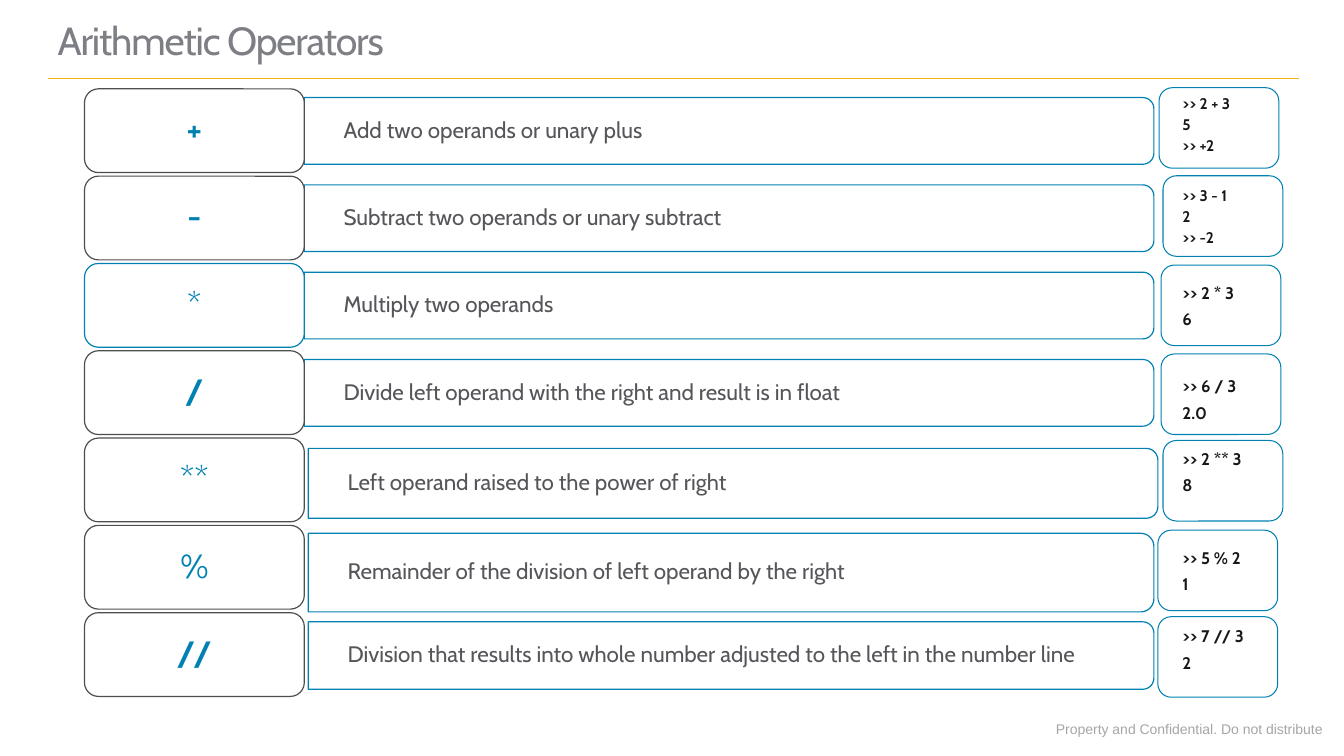
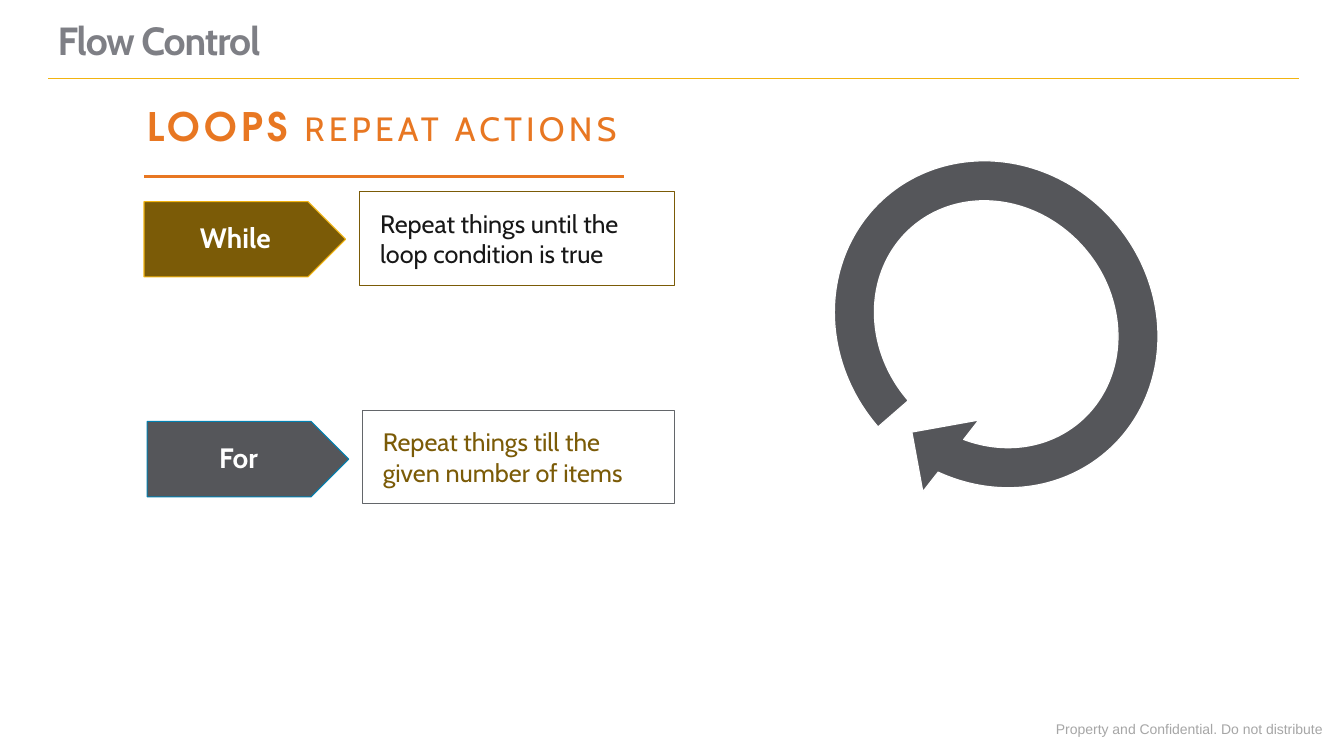
import math
from dataclasses import dataclass

from lxml import etree
from pptx import Presentation
from pptx import util as u
from pptx.dml.color import RGBColor
from pptx.enum import shapes, text
from pptx.oxml.ns import qn

WHITE = RGBColor(0xFF, 0xFF, 0xFF)
BLUE = RGBColor(0x01, 0x81, 0xB2)
GOLD = RGBColor(0xF2, 0xB4, 0x11)
BROWN = RGBColor(0x7B, 0x5B, 0x07)
ORANGE = RGBColor(0xE8, 0x77, 0x22)
SLATE = RGBColor(0x55, 0x56, 0x5A)
OUTLINE = RGBColor(0x4D, 0x4E, 0x52)
BOX_GRAY = RGBColor(0x63, 0x66, 0x6A)
TITLE_GRAY = RGBColor(0x7E, 0x7F, 0x85)
FOOTER_GRAY = RGBColor(0xA6, 0xA6, 0xA6)
INK = RGBColor(0x17, 0x17, 0x17)

FONT = "Cabin"
SHAPE = shapes.MSO_SHAPE
LEFT, CENTER, RIGHT = text.PP_ALIGN.LEFT, text.PP_ALIGN.CENTER, text.PP_ALIGN.RIGHT
TOP, MIDDLE, BOTTOM = (text.MSO_ANCHOR.TOP, text.MSO_ANCHOR.MIDDLE,
                       text.MSO_ANCHOR.BOTTOM)


@dataclass(frozen=True)
class Box:
    """A rectangle in centimetres."""
    left: float
    top: float
    width: float
    height: float

    def lengths(self) -> tuple:
        return tuple(u.Cm(value) for value in
                     (self.left, self.top, self.width, self.height))


@dataclass(frozen=True)
class TextStyle:
    size: float
    color: RGBColor
    bold: bool = False
    font: str = FONT
    spacing: float = 0
    align: text.PP_ALIGN = LEFT
    anchor: text.MSO_ANCHOR = TOP
    inset: tuple = (0.51, 0.41)
    line_spacing: float = 0.9
    space_after: float = 0


@dataclass(frozen=True)
class Operator:
    symbol: str
    bold: bool
    outline: RGBColor
    description: str
    bar: Box
    example: str
    example_left: float
    example_top: float
    text_top: float
    example_size: float = 12
    example_gap: float = 6


@dataclass(frozen=True)
class Loop:
    name: str
    tag: Box
    fill: RGBColor
    outline: RGBColor
    description: str
    box: Box
    box_outline: RGBColor
    text_color: RGBColor


# Operator rows
ROW_TOP, ROW_PITCH = 2.24, 2.2
BAR_TOPS = [2.46 + ROW_PITCH * row for row in range(4)]
OPERATORS = [
    Operator("+", True, OUTLINE, "Add two operands or unary plus",
             Box(7.67, BAR_TOPS[0], 21.41, 1.68), ">> 2 + 3\n5\n>> +2",
             29.21, 2.21, 2.01, 11, 3),
    Operator("-", True, OUTLINE, "Subtract two operands or unary subtract",
             Box(7.67, BAR_TOPS[1], 21.41, 1.68), ">> 3 - 1\n2\n>> -2",
             29.31, 4.43, 4.34, 11, 3),
    Operator("*", False, BLUE, "Multiply two operands",
             Box(7.67, BAR_TOPS[2], 21.41, 1.68), ">> 2 * 3\n6",
             29.26, 6.68, 6.76),
    Operator("/", True, OUTLINE,
             "Divide left operand with the right and result is in float",
             Box(7.67, BAR_TOPS[3], 21.41, 1.68), ">> 6 / 3\n2.0",
             29.26, 8.92, 9.12),
    Operator("**", False, OUTLINE, "Left operand raised to the power of right",
             Box(7.77, 11.3, 21.41, 1.76), ">> 2 ** 3\n8",
             29.31, 11.1, 10.95),
    Operator("%", False, OUTLINE,
             "Remainder of the division of left operand by the right",
             Box(7.77, 13.44, 21.31, 1.98), ">> 5 % 2\n1",
             29.18, 13.36, 13.44),
    Operator("//", True, OUTLINE,
             "Division that results into whole number adjusted to the left "
             "in the number line",
             Box(7.77, 15.67, 21.31, 1.7), ">> 7 // 3\n2",
             29.18, 15.54, 15.42),
]

LOOPS = [
    Loop("While", Box(3.63, 5.08, 5.08, 1.9), BROWN, GOLD,
         "Repeat things until the loop condition is true",
         Box(9.07, 4.83, 7.92, 2.36), BROWN, INK),
    Loop("For", Box(3.71, 10.62, 5.08, 1.9), SLATE, BLUE,
         "Repeat things till the given number of items",
         Box(9.14, 10.34, 7.85, 2.36), BOX_GRAY, BROWN),
]


def format_run(run, style: TextStyle) -> None:
    run.font.name = style.font
    run.font.size = u.Pt(style.size)
    run.font.bold = style.bold
    run.font.color.rgb = style.color
    if style.spacing:
        run._r.get_or_add_rPr().set("spc", str(round(style.spacing * 100)))


def write(shape, content: str, style: TextStyle) -> None:
    """Put text in a shape, one paragraph per line."""
    frame = shape.text_frame
    frame.text = content
    frame.word_wrap = True
    frame.auto_size = text.MSO_AUTO_SIZE.NONE
    frame.vertical_anchor = style.anchor
    frame.margin_left = frame.margin_right = u.Cm(style.inset[0])
    frame.margin_top = frame.margin_bottom = u.Cm(style.inset[1])
    for paragraph in frame.paragraphs:
        paragraph.alignment = style.align
        paragraph.line_spacing = style.line_spacing
        paragraph.space_before = u.Pt(0)
        paragraph.space_after = u.Pt(style.space_after)
        for run in paragraph.runs:
            format_run(run, style)


def paint(shape, fill: RGBColor | None, outline: RGBColor, width: float) -> None:
    shape.shadow.inherit = False
    if fill is None:
        shape.fill.background()
    else:
        shape.fill.solid()
        shape.fill.fore_color.rgb = fill
    shape.line.color.rgb = outline
    shape.line.width = u.Pt(width)


def add_box(slide, preset: SHAPE, box: Box, fill: RGBColor | None,
            outline: RGBColor, width: float = 0.75):
    shape = slide.shapes.add_shape(preset, *box.lengths())
    paint(shape, fill, outline, width)
    return shape


def add_text(slide, box: Box, content: str, style: TextStyle):
    shape = slide.shapes.add_textbox(*box.lengths())
    write(shape, content, style)
    return shape


def add_rule(slide, left: float, right: float, top: float, color: RGBColor,
             width: float):
    rule = slide.shapes.add_connector(
        shapes.MSO_CONNECTOR.STRAIGHT,
        u.Cm(left), u.Cm(top), u.Cm(right), u.Cm(top))
    rule.line.color.rgb = color
    rule.line.width = u.Pt(width)
    etree.SubElement(rule.element.spPr, qn("a:effectLst"))
    return rule


def add_bar(slide, box: Box):
    """Draw a bar whose two right corners are rounded."""
    radius = box.height / 6
    right, bottom = box.left + box.width, box.top + box.height
    corners = [(box.top + radius, -90), (bottom - radius, 0)]
    points = [(right - radius + radius * math.cos(math.radians(start + step)),
               middle + radius * math.sin(math.radians(start + step)))
              for middle, start in corners for step in range(0, 91, 10)]
    points.append((box.left, bottom))
    builder = slide.shapes.build_freeform(u.Cm(box.left), u.Cm(box.top))
    builder.add_line_segments([(u.Cm(x), u.Cm(y)) for x, y in points], close=True)
    bar = builder.convert_to_shape()
    paint(bar, WHITE, BLUE, 0.85)
    return bar


def add_titled_slide(presentation, layout, title: str, bold: bool = False):
    slide = presentation.slides.add_slide(layout)
    shape = slide.shapes.title
    shape.left, shape.top, shape.width, shape.height = Box(1.04, 0, 25.4, 1.85).lengths()
    write(shape, title, TextStyle(28, TITLE_GRAY, bold, spacing=-0.8,
                                  anchor=BOTTOM, inset=(0.41, 0.25)))
    return slide


def move_frame_to_layout(slide, layout) -> None:
    """Give the layout the title rule and the footer all slides show."""
    footer = add_text(slide, Box(25, 18.03, 8.58, 0.69),
                      "Property and Confidential. Do not distribute",
                      TextStyle(10, FOOTER_GRAY, font="Arial", align=RIGHT,
                                inset=(0.25, 0.13), line_spacing=1))
    rule = add_rule(slide, 1.22, 32.74, 1.98, GOLD, 0.75)
    for shape in (footer, rule):
        layout.shapes.element.append(shape.element)


def draw_operators(slide) -> None:
    symbol_width, symbol_height = 5.54, 2.11
    for row, operator in enumerate(OPERATORS):
        # Description bar and symbol
        bar = add_bar(slide, operator.bar)
        write(bar, operator.description,
              TextStyle(16, SLATE, anchor=MIDDLE, inset=(0.99, 0.15)))
        symbol = add_box(slide, SHAPE.ROUNDED_RECTANGLE,
                         Box(2.13, ROW_TOP + ROW_PITCH * row,
                             symbol_width, symbol_height),
                         WHITE, operator.outline, 0.85)
        write(symbol, operator.symbol,
              TextStyle(24, BLUE, operator.bold, align=CENTER, anchor=MIDDLE,
                        inset=(0.51, 0.3)))
        # Example
        add_box(slide, SHAPE.ROUNDED_RECTANGLE,
                Box(operator.example_left, operator.example_top, 3.02, 2.03),
                None, BLUE)
        add_text(slide, Box(29.29, operator.text_top, 2.8, 2.3), operator.example,
                 TextStyle(operator.example_size, INK, True,
                           space_after=operator.example_gap))


def draw_loops(slide) -> None:
    # Heading
    heading_style = TextStyle(28, ORANGE, True, "TeX Gyre Adventor", 3)
    heading = add_text(slide, Box(3.2, 2.31, 13.6, 1.9), "LOOPS", heading_style)
    words = heading.text_frame.paragraphs[0].add_run()
    words.text = " REPEAT ACTIONS"
    format_run(words, TextStyle(24, ORANGE, spacing=3))
    add_rule(slide, 3.63, 15.72, 4.45, ORANGE, 2.25)

    # Loop kinds
    for loop in LOOPS:
        tag = add_box(slide, SHAPE.PENTAGON, loop.tag, loop.fill, loop.outline)
        write(tag, loop.name, TextStyle(20, WHITE, True, align=CENTER, anchor=MIDDLE))
        box = add_box(slide, SHAPE.RECTANGLE, loop.box, None, loop.box_outline)
        write(box, loop.description,
              TextStyle(18, loop.text_color, line_spacing=1, space_after=6))

    # Circling arrow
    arrow = add_box(slide, SHAPE.CIRCULAR_ARROW, Box(20.52, 3.28, 9.17, 9.78),
                    SLATE, WHITE, 0.85)
    arrow.rotation = 319
    for index, value in enumerate((0.11, 11.42, 90, 108, 0.125)):
        arrow.adjustments[index] = value


def main() -> None:
    presentation = Presentation()
    presentation.slide_width, presentation.slide_height = u.Cm(33.87), u.Cm(19.05)
    layout = presentation.slide_layouts.get_by_name("Title Only")
    operators = add_titled_slide(presentation, layout, "Arithmetic Operators")
    move_frame_to_layout(operators, layout)
    draw_operators(operators)
    draw_loops(add_titled_slide(presentation, layout, "Flow Control", True))
    presentation.save("out.pptx")


if __name__ == "__main__":
    main()
